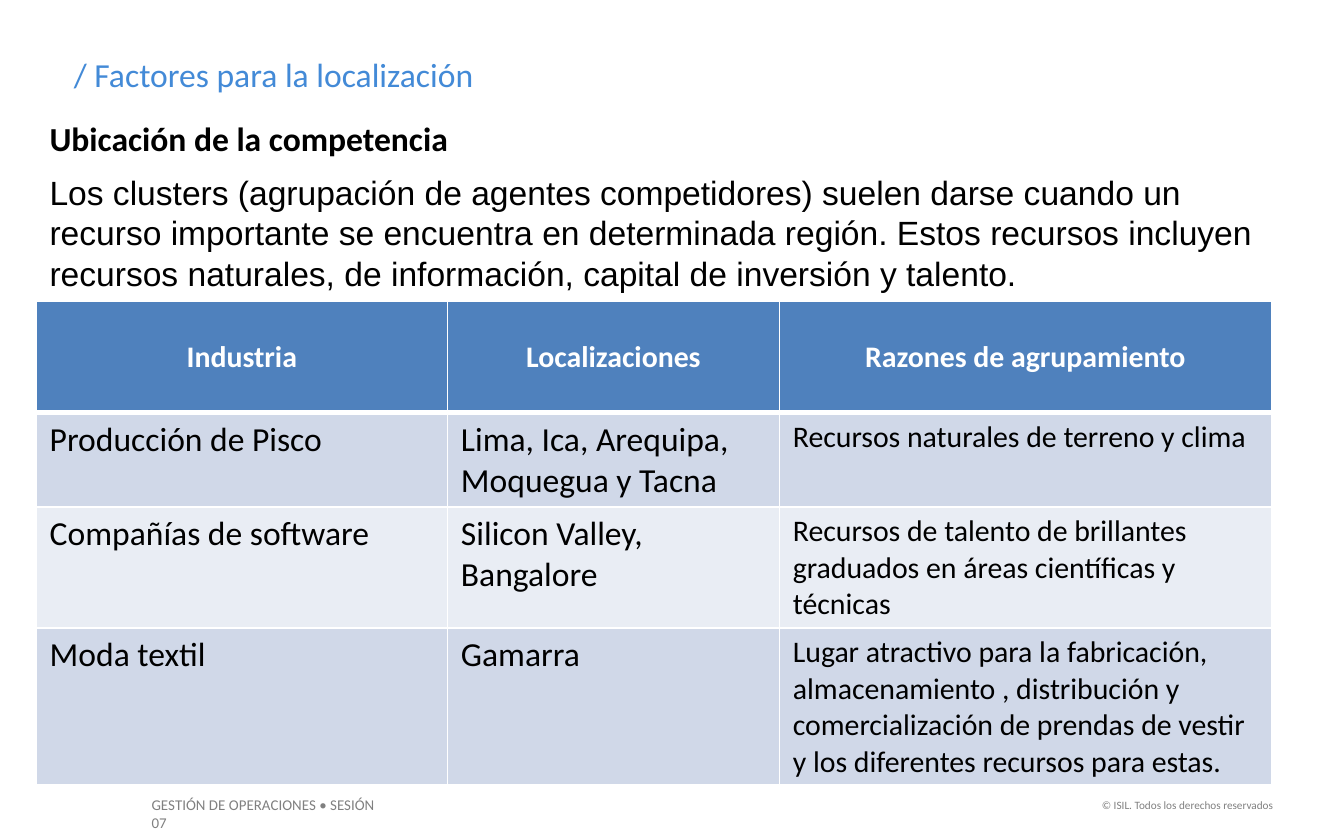
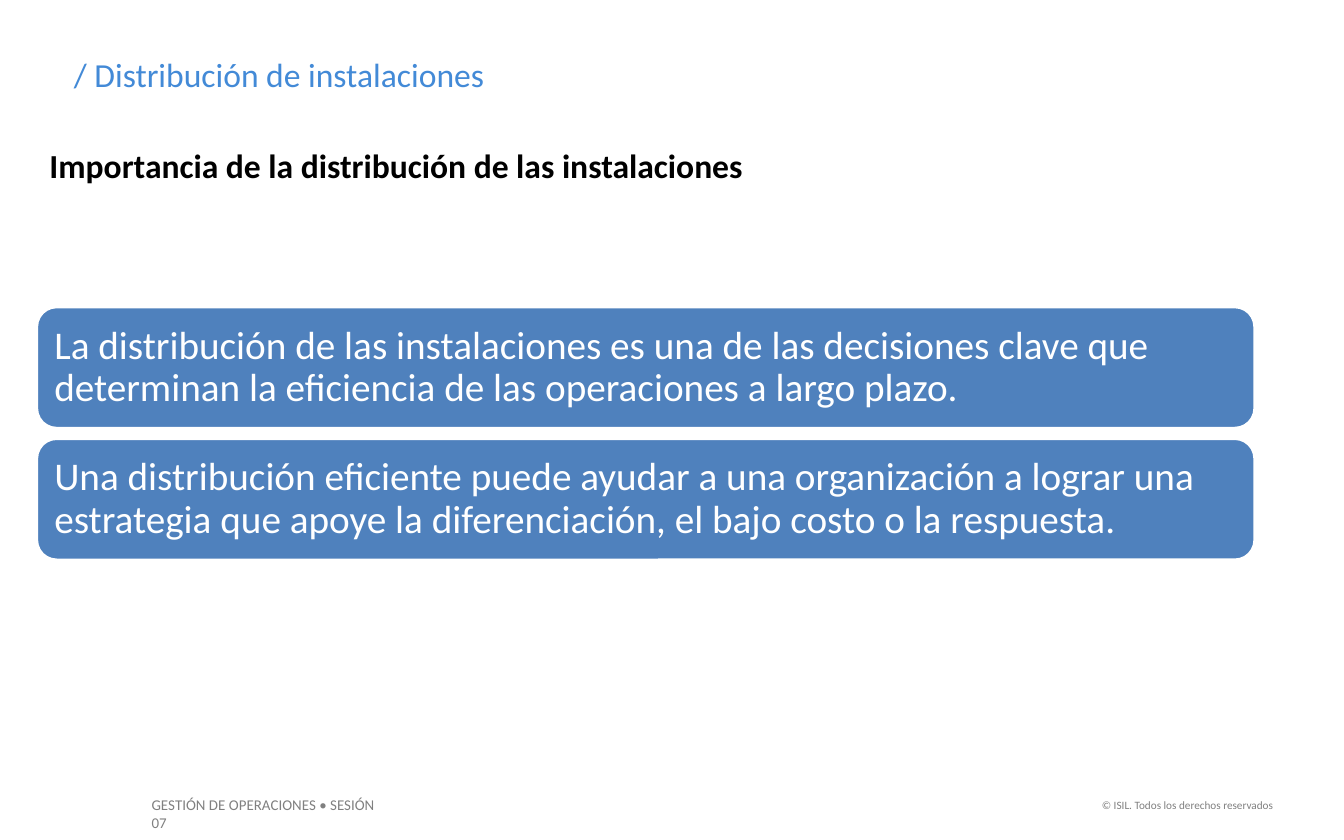
from typing import NamedTuple

from lxml.etree import SubElement
from pptx import Presentation
from pptx.dml.color import RGBColor
from pptx.enum.shapes import MSO_SHAPE as Shape
from pptx.enum.text import MSO_ANCHOR as Anchor, MSO_AUTO_SIZE as AutoSize, PP_ALIGN as Align
from pptx.oxml.ns import qn
from pptx.util import Emu, Pt

EMU_PER_PX = 9144  # 100 px to the inch
TITLE_ONLY = 5
BLUE, TITLE_BLUE, GREY = "4F81BD", "438AD7", "808080"
BLACK, WHITE = "000000", "FFFFFF"
BANDS = ("D0D8E8", "E9EDF4")


class Box(NamedTuple):
    left: int
    top: int
    width: int
    height: int


class Style(NamedTuple):
    size: int
    color: str = BLACK
    bold: bool = False
    name: str = "Calibri"
    align: Align = Align.LEFT


class Label(NamedTuple):
    text: str
    box: Box
    style: Style
    margin_right: int = 10


TITLE = Style(18, TITLE_BLUE)
HEADING = Style(18, bold=True)
BODY = Style(18, name="Arial")
CARD = Style(21, WHITE)
HEADER_CELL = Style(16, WHITE, True, align=Align.CENTER)
COLUMN_STYLES = (Style(18), Style(18), Style(16))

TITLE_BOX = Box(45, 35, 788, 40)
FOOTERS = (
    Label("GESTIÓN DE OPERACIONES • SESIÓN 07", Box(103, 587, 204, 24), Style(8, GREY), 19),
    Label("© ISIL. Todos los derechos reservados", Box(803, 589, 154, 20),
          Style(6, GREY, align=Align.RIGHT)),
)

CLUSTER_BOX = Box(27, 224, 919, 359)
CLUSTER_COLUMNS = (306, 247, 366)
CLUSTER_ROWS = (83, 70, 90, 116)
CLUSTERS = (
    ("Industria", "Localizaciones", "Razones de agrupamiento"),
    ("Producción de Pisco", "Lima, Ica, Arequipa, Moquegua y Tacna",
     "Recursos naturales de terreno y clima"),
    ("Compañías de software", "Silicon Valley, Bangalore",
     "Recursos de talento de brillantes graduados en áreas científicas y técnicas"),
    ("Moda textil", "Gamarra",
     "Lugar atractivo para la fabricación, almacenamiento , distribución y "
     "comercialización de prendas de vestir y los diferentes recursos para estas."),
)

FIRST_CARD = Box(27, 228, 907, 91)
CARD_PITCH = 98
REASONS = (
    "La distribución de las instalaciones es una de las decisiones clave que "
    "determinan la eficiencia de las operaciones a largo plazo.",
    "Una distribución eficiente puede ayudar a una organización a lograr una "
    "estrategia que apoye la diferenciación, el bajo costo o la respuesta.",
)


def px(length: int) -> Emu:
    return Emu(length * EMU_PER_PX)


def rgb(color: str) -> RGBColor:
    return RGBColor.from_string(color)


def emu(box: Box) -> list[Emu]:
    return [px(length) for length in box]


def assign(target, values: dict) -> None:
    """Set each named attribute of target."""
    for attribute, value in values.items():
        setattr(target, attribute, value)


def write(frame, text: str, style: Style) -> None:
    frame.text = text
    paragraph = frame.paragraphs[0]
    paragraph.alignment = style.align
    assign(paragraph.font, {"size": Pt(style.size), "bold": style.bold, "name": style.name})
    paragraph.font.color.rgb = rgb(style.color)


def add_label(slide, label: Label):
    shape = slide.shapes.add_textbox(*emu(label.box))
    assign(shape.text_frame, {"word_wrap": True, "margin_right": px(label.margin_right)})
    write(shape.text_frame, label.text, label.style)
    return shape


def add_titled_slide(deck, title: str):
    slide = deck.slides.add_slide(deck.slide_layouts[TITLE_ONLY])
    heading = slide.shapes.title
    assign(heading, dict(zip(("left", "top", "width", "height"), emu(TITLE_BOX))))
    assign(heading.text_frame, {"vertical_anchor": Anchor.TOP, "word_wrap": True,
                                "auto_size": AutoSize.NONE})
    write(heading.text_frame, title, TITLE)
    return slide


def move_footers_to_layout(slide) -> None:
    """Draw the footers and hand them to the layout, so every slide shows them."""
    first = slide.slide_layout.placeholders[0].element
    for footer in FOOTERS:
        first.addprevious(add_label(slide, footer).element)


def set_borders(cell, row: int) -> None:
    """White borders, heavier between the header and the first row."""
    widths = {"L": 1, "R": 1, "T": 3 if row == 1 else 1, "B": 3 if row == 0 else 1}
    properties = cell._tc.get_or_add_tcPr()
    for side, width in widths.items():
        line = SubElement(properties, qn(f"a:ln{side}"), w=str(Pt(width)))
        SubElement(SubElement(line, qn("a:solidFill")), qn("a:srgbClr"), val=WHITE)


def add_cluster_table(slide) -> None:
    table = slide.shapes.add_table(
        len(CLUSTER_ROWS), len(CLUSTER_COLUMNS), *emu(CLUSTER_BOX)).table
    for column, width in zip(table.columns, CLUSTER_COLUMNS):
        column.width = px(width)
    for r, (texts, height) in enumerate(zip(CLUSTERS, CLUSTER_ROWS)):
        table.rows[r].height = px(height)
        for c, text in enumerate(texts):
            cell = table.cell(r, c)
            set_borders(cell, r)
            cell.fill.solid()
            cell.fill.fore_color.rgb = rgb(BANDS[(r - 1) % 2] if r else BLUE)
            cell.vertical_anchor = Anchor.TOP if r else Anchor.MIDDLE
            write(cell.text_frame, text, COLUMN_STYLES[c] if r else HEADER_CELL)


def add_card(slide, text: str, box: Box) -> None:
    card = slide.shapes.add_shape(Shape.ROUNDED_RECTANGLE, *emu(box))
    card.shadow.inherit = False
    card.fill.solid()
    card.fill.fore_color.rgb = rgb(BLUE)
    card.line.color.rgb = rgb(WHITE)
    card.line.width = Pt(2)
    # The preset's text area already sits about 4 px inside the outline.
    assign(card.text_frame, {"word_wrap": True, "vertical_anchor": Anchor.MIDDLE,
                             "margin_left": px(9), "margin_right": px(9)})
    write(card.text_frame, text, CARD)
    card.text_frame.paragraphs[0].line_spacing = 0.9


def build_location_slide(deck) -> None:
    slide = add_titled_slide(deck, "/ Factores para la localización")
    move_footers_to_layout(slide)
    add_label(slide, Label("Ubicación de la competencia", Box(27, 83, 342, 40), HEADING))
    add_label(slide, Label(
        "Los clusters (agrupación de agentes competidores) suelen darse cuando un recurso "
        "importante se encuentra en determinada región. Estos recursos incluyen recursos "
        "naturales, de información, capital de inversión y talento.",
        Box(27, 123, 919, 101), BODY))
    add_cluster_table(slide)


def build_layout_slide(deck) -> None:
    slide = add_titled_slide(deck, "/ Distribución de instalaciones")
    add_label(slide, Label("Importancia de la distribución de las instalaciones",
                           Box(27, 103, 700, 40), HEADING))
    for i, reason in enumerate(REASONS):
        add_card(slide, reason, FIRST_CARD._replace(top=FIRST_CARD.top + i * CARD_PITCH))


def main() -> None:
    deck = Presentation()
    assign(deck, {"slide_width": px(1000), "slide_height": px(625)})
    build_location_slide(deck)
    build_layout_slide(deck)
    deck.save("out.pptx")


if __name__ == "__main__":
    main()
